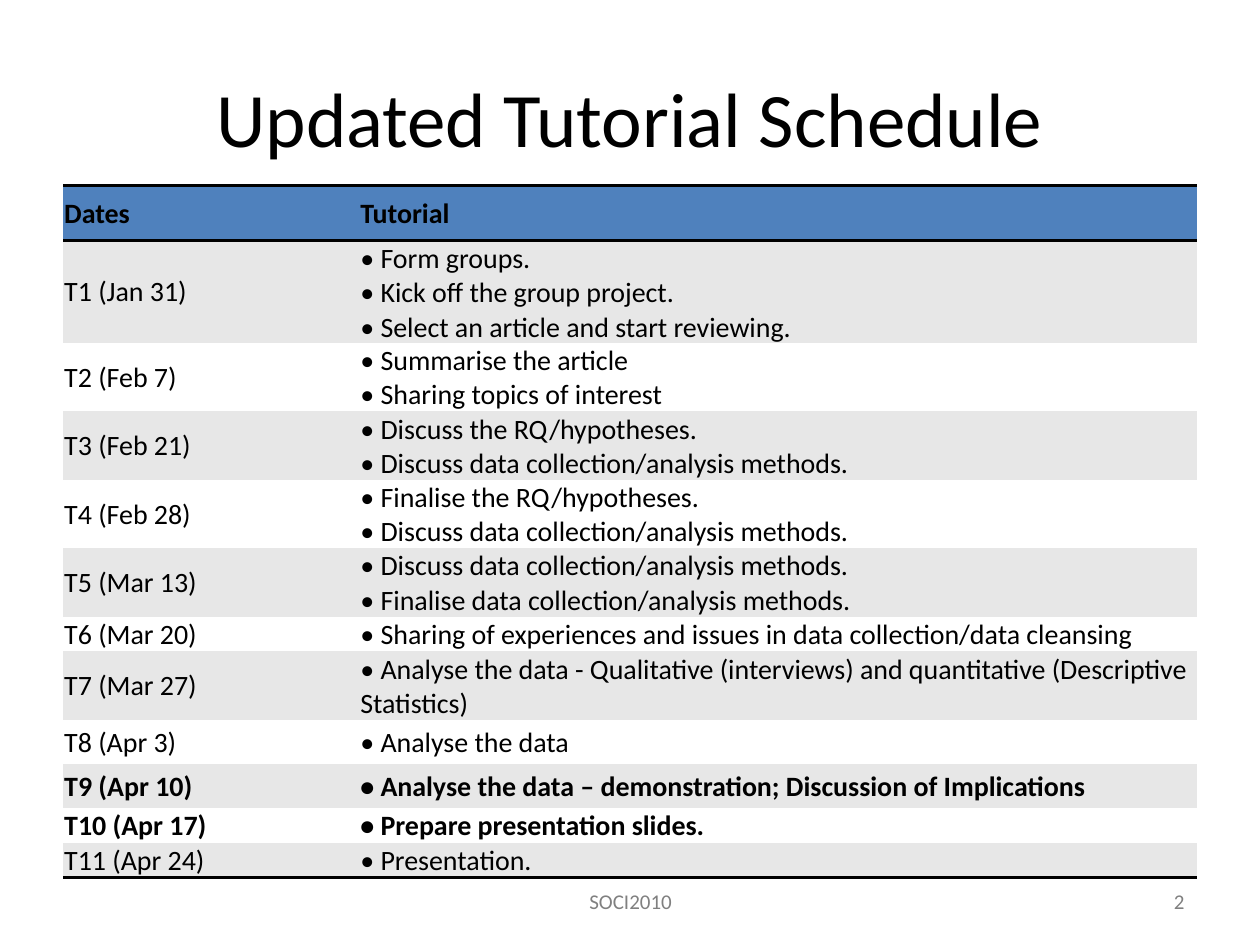
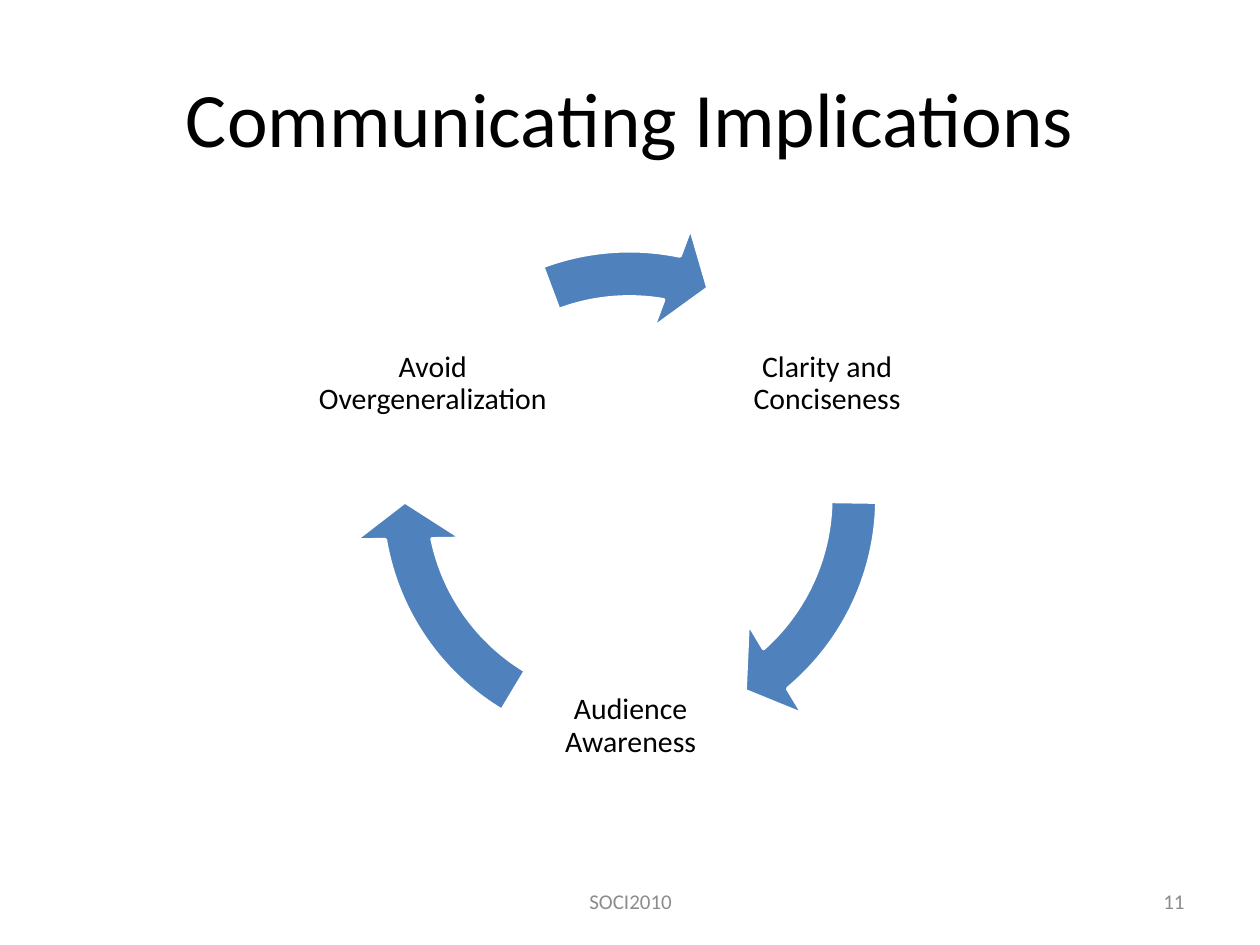
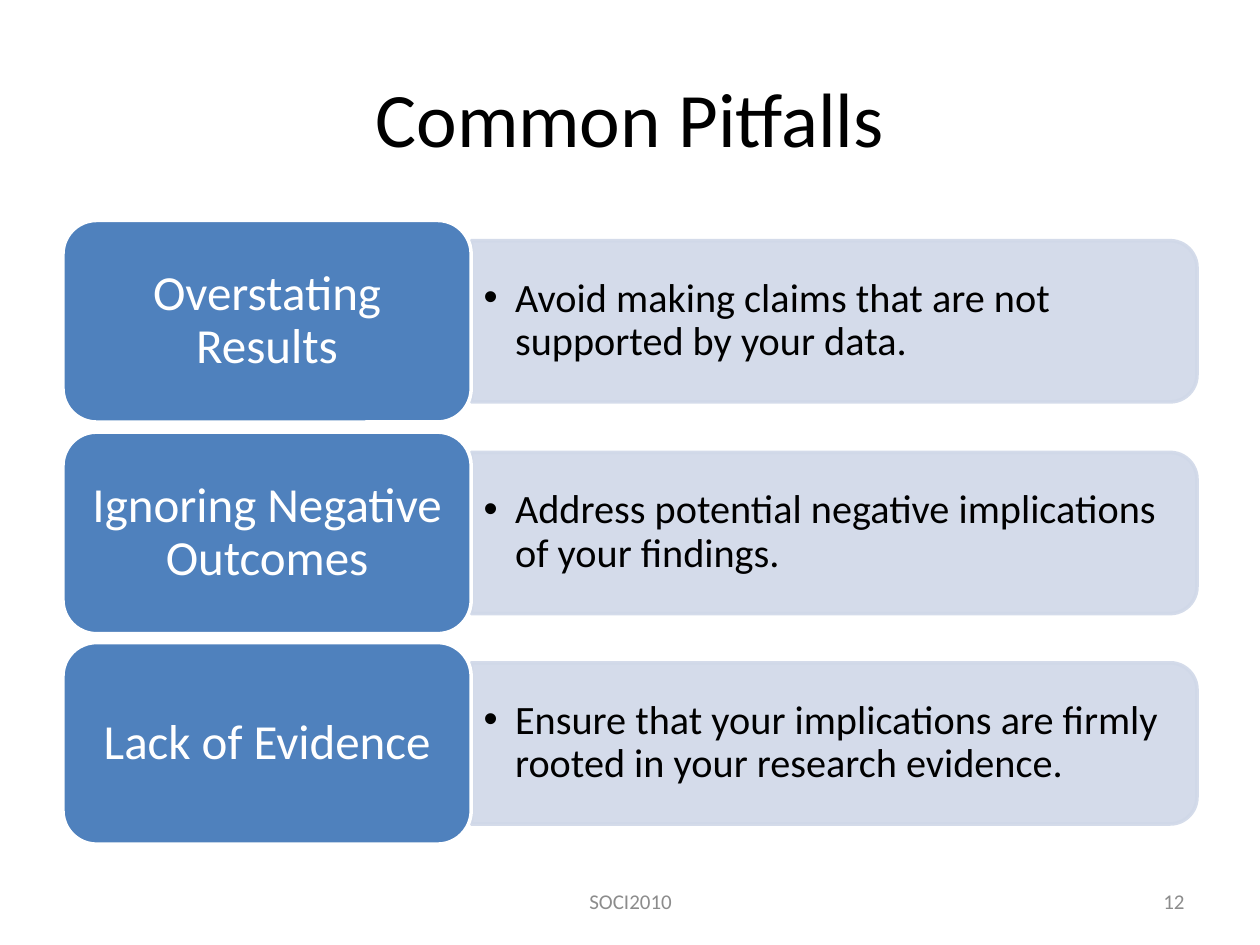
from typing import NamedTuple

from lxml import etree
from pptx import Presentation
from pptx import util as u
from pptx.dml import color
from pptx.enum import shapes, text
from pptx.oxml import ns

PX = 9144  # EMU per px, 100 px to the inch
FONT = "Calibri"
BLACK, WHITE, BLUE = "000000", "FFFFFF", "4F81BD"
PALE_BLUE, BAND_GREY, FOOTER_GREY = "D0D8E8", "E7E7E7", "8C8C8C"
CENTER, LEFT, RIGHT = text.PP_ALIGN.CENTER, text.PP_ALIGN.LEFT, text.PP_ALIGN.RIGHT


class Box(NamedTuple):
    left: int
    top: int
    width: int
    height: int

    def emu(self) -> list[int]:
        return [v * PX for v in self]


class Style(NamedTuple):
    size: int
    color: str = BLACK
    align: text.PP_ALIGN = CENTER
    spacing: float = 1.0
    bold: bool = False


class Session(NamedTuple):
    date: str
    tasks: list[str]
    height: int
    bold: bool = False


class Step(NamedTuple):
    label: str
    left: int
    top: int
    arrow_end: float
    arrow_start: float


class Pitfall(NamedTuple):
    name: str
    advice: str


TITLE_BOX = Box(50, 30, 900, 125)
FOOTER_BOX = Box(342, 695, 317, 40)
NUMBER_BOX = Box(717, 695, 233, 40)
TITLE = Style(44)
STEP = Style(17, spacing=0.9)
CARD = Style(28, WHITE, spacing=0.9)
ADVICE = Style(23, align=LEFT, spacing=0.9)

SESSIONS = [
    Session("T1 (Jan 31)", ["Form groups.", "Kick off the group project.",
                            "Select an article and start reviewing."], 79),
    Session("T2 (Feb 7)", ["Summarise the article", "Sharing topics of interest"], 53),
    Session("T3 (Feb 21)", ["Discuss the RQ/hypotheses.",
                            "Discuss data collection/analysis methods."], 53),
    Session("T4 (Feb 28)", ["Finalise the RQ/hypotheses.",
                            "Discuss data collection/analysis methods."], 53),
    Session("T5 (Mar 13)", ["Discuss data collection/analysis methods.",
                            "Finalise data collection/analysis methods."], 53),
    Session("T6 (Mar 20)", ["Sharing of experiences and issues in data collection/data cleansing"], 27),
    Session("T7 (Mar 27)", ["Analyse the data - Qualitative (interviews) and quantitative "
                            "(Descriptive Statistics)"], 27),
    Session("T8 (Apr 3)", ["Analyse the data"], 35),
    Session("T9 (Apr 10)", ["Analyse the data – demonstration; Discussion of Implications"], 35, True),
    Session("T10 (Apr 17)", ["Prepare presentation slides."], 27, True),
    Session("T11 (Apr 24)", ["Presentation."], 27),
]
STEPS = [
    Step("Clarity and Conciseness", 563, 211, 29.615, 0.533),
    Step("Audience Awareness", 407, 483, 101.7, 72.619),
    Step("Avoid Overgeneralization", 250, 211, 168.545, 149.689),
]
PITFALLS = [
    Pitfall("Overstating Results", "Avoid making claims that are not supported by your data."),
    Pitfall("Ignoring Negative Outcomes", "Address potential negative implications of your findings."),
    Pitfall("Lack of Evidence", "Ensure that your implications are firmly rooted in your research evidence."),
]


def rgb(hex_color: str) -> color.RGBColor:
    return color.RGBColor.from_string(hex_color)


def write(tf, words: str, style: Style) -> None:
    tf.text = words
    for p in tf.paragraphs:
        p.alignment = style.align
        p.line_spacing = style.spacing
        for r in p.runs:
            r.font.name, r.font.size, r.font.bold = FONT, u.Pt(style.size), style.bold
            r.font.color.rgb = rgb(style.color)


def set_frame(tf, margin_x: int, margin_y: int) -> None:
    tf.word_wrap = True
    tf.vertical_anchor = text.MSO_ANCHOR.MIDDLE
    tf.margin_left = tf.margin_right = margin_x * PX
    tf.margin_top = tf.margin_bottom = margin_y * PX


def add_text(s, box: Box, words: str, style: Style, margin_x: int = 10, margin_y: int = 5):
    tf = s.shapes.add_textbox(*box.emu()).text_frame
    set_frame(tf, margin_x, margin_y)
    write(tf, words, style)
    return tf


def add_shape(s, kind: shapes.MSO_SHAPE, box: Box, fill: str, line: str):
    sp = s.shapes.add_shape(kind, *box.emu())
    sp.shadow.inherit = False
    sp.fill.solid()
    sp.fill.fore_color.rgb = rgb(fill)
    sp.line.color.rgb = rgb(line)
    sp.line.width = u.Pt(2)
    return sp


def add_slide(prs, title: str, number: int, footer_color: str = FOOTER_GREY):
    """Add a title-only slide with its title, footer and number."""
    s = prs.slides.add_slide(prs.slide_layouts[5])
    sp = s.shapes.title
    sp.left, sp.top, sp.width, sp.height = TITLE_BOX.emu()
    set_frame(sp.text_frame, 10, 5)
    write(sp.text_frame, title, TITLE)
    add_text(s, FOOTER_BOX, "SOCI2010", Style(12, footer_color))
    add_text(s, NUMBER_BOX, str(number), Style(12, footer_color, RIGHT))
    return s


def set_borders(cell, ruled: str) -> None:
    """Rule the sides named in ruled (of L, R, T, B) and clear the others."""
    tc_pr = cell._tc.get_or_add_tcPr()
    for side in "LRTB":
        ln = etree.SubElement(tc_pr, ns.qn(f"a:ln{side}"))
        if side in ruled:
            ln.set("w", str(u.Pt(2)))
            fill = etree.SubElement(ln, ns.qn("a:solidFill"))
            etree.SubElement(fill, ns.qn("a:srgbClr"), val=BLACK)
        else:
            etree.SubElement(ln, ns.qn("a:noFill"))


def fill_cell(cell, words: str, bold: bool, fill: str, ruled: str) -> None:
    set_borders(cell, ruled)
    cell.fill.solid()
    cell.fill.fore_color.rgb = rgb(fill)
    cell.vertical_anchor = text.MSO_ANCHOR.MIDDLE
    cell.margin_left = cell.margin_right = cell.margin_top = PX
    cell.margin_bottom = 0
    write(cell.text_frame, words, Style(16, align=LEFT, bold=bold))


def build_schedule(prs) -> None:
    s = add_slide(prs, "Updated Tutorial Schedule", 2, "808080")
    heights = [44] + [session.height for session in SESSIONS]
    box = Box(50, 147, 900, sum(heights))
    table = s.shapes.add_table(len(heights), 2, *box.emu()).table
    table.first_row = table.horz_banding = False
    for column, width in zip(table.columns, (235, 665)):
        column.width = width * PX
    for row, height in zip(table.rows, heights):
        row.height = height * PX
    for cell, heading in zip(table.rows[0].cells, ("Dates", "Tutorial")):
        fill_cell(cell, heading, True, BLUE, "TB")
    for i, session in enumerate(SESSIONS, 1):
        ruled = {1: "T", len(SESSIONS): "B"}.get(i, "")
        tasks = "\v".join(f"• {task}" for task in session.tasks)
        for cell, words in zip(table.rows[i].cells, (session.date, tasks)):
            fill_cell(cell, words, session.bold, BAND_GREY if i % 2 else WHITE, ruled)


def build_cycle(prs) -> None:
    s = add_slide(prs, "Communicating Implications", 11)
    for step in STEPS:
        add_text(s, Box(step.left, step.top, 187, 187), step.label, STEP, 2, 2)
        arrow = add_shape(s, shapes.MSO_SHAPE.CIRCULAR_ARROW, Box(279, 175, 441, 441), BLUE, WHITE)
        for i, value in enumerate((0.083, 5.766, step.arrow_end, step.arrow_start, 0.096)):
            arrow.adjustments[i] = value


def set_bullet(p) -> None:
    p.level = 1
    p_pr = p._p.get_or_add_pPr()
    p_pr.set("marL", str(25 * PX))
    p_pr.set("indent", str(-25 * PX))
    etree.SubElement(p_pr, ns.qn("a:buFont"), typeface="Arial")
    etree.SubElement(p_pr, ns.qn("a:buChar"), char="•")


def build_pitfalls(prs) -> None:
    s = add_slide(prs, "Common Pitfalls", 12)
    card_w, card_h, bar_w, bar_h = 324, 160, 576, 128
    bar_left = 50 + card_w
    for i, pitfall in enumerate(PITFALLS):
        top = 175 + round(167.5 * i)
        middle = top + card_h // 2
        # The bar stands upright before its quarter turn.
        upright = Box(bar_left + (bar_w - bar_h) // 2, middle - bar_w // 2, bar_h, bar_w)
        bar = add_shape(s, shapes.MSO_SHAPE.ROUND_2_SAME_RECTANGLE, upright, PALE_BLUE, PALE_BLUE)
        bar.rotation = 90
        for clr in bar._element.spPr.iter(ns.qn("a:srgbClr")):
            etree.SubElement(clr, ns.qn("a:alpha"), val="90000")
        tf = add_text(s, Box(bar_left, top + 22, 570, 115), pitfall.advice, ADVICE)
        set_bullet(tf.paragraphs[0])
        card = add_shape(s, shapes.MSO_SHAPE.ROUNDED_RECTANGLE,
                         Box(50, top, card_w, card_h), BLUE, WHITE)
        set_frame(card.text_frame, 20, 14)
        # The preset's own text area is already inset by its round corners.
        card.text_frame.margin_left = card.text_frame.margin_right = 12 * PX
        card.text_frame.margin_top = card.text_frame.margin_bottom = 6 * PX
        write(card.text_frame, pitfall.name, CARD)


def main() -> None:
    prs = Presentation()
    prs.slide_width, prs.slide_height = 1000 * PX, 750 * PX
    build_schedule(prs)
    build_cycle(prs)
    build_pitfalls(prs)
    prs.save("out.pptx")


if __name__ == "__main__":
    main()
